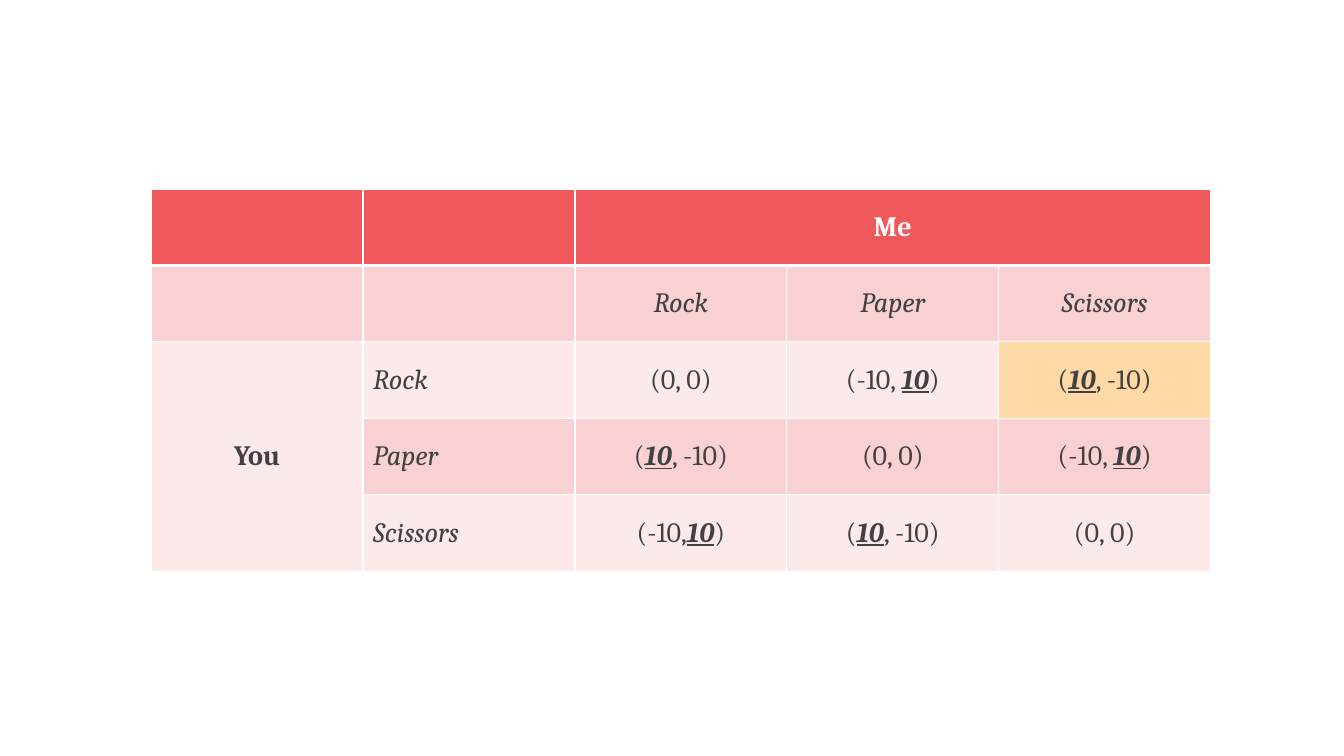
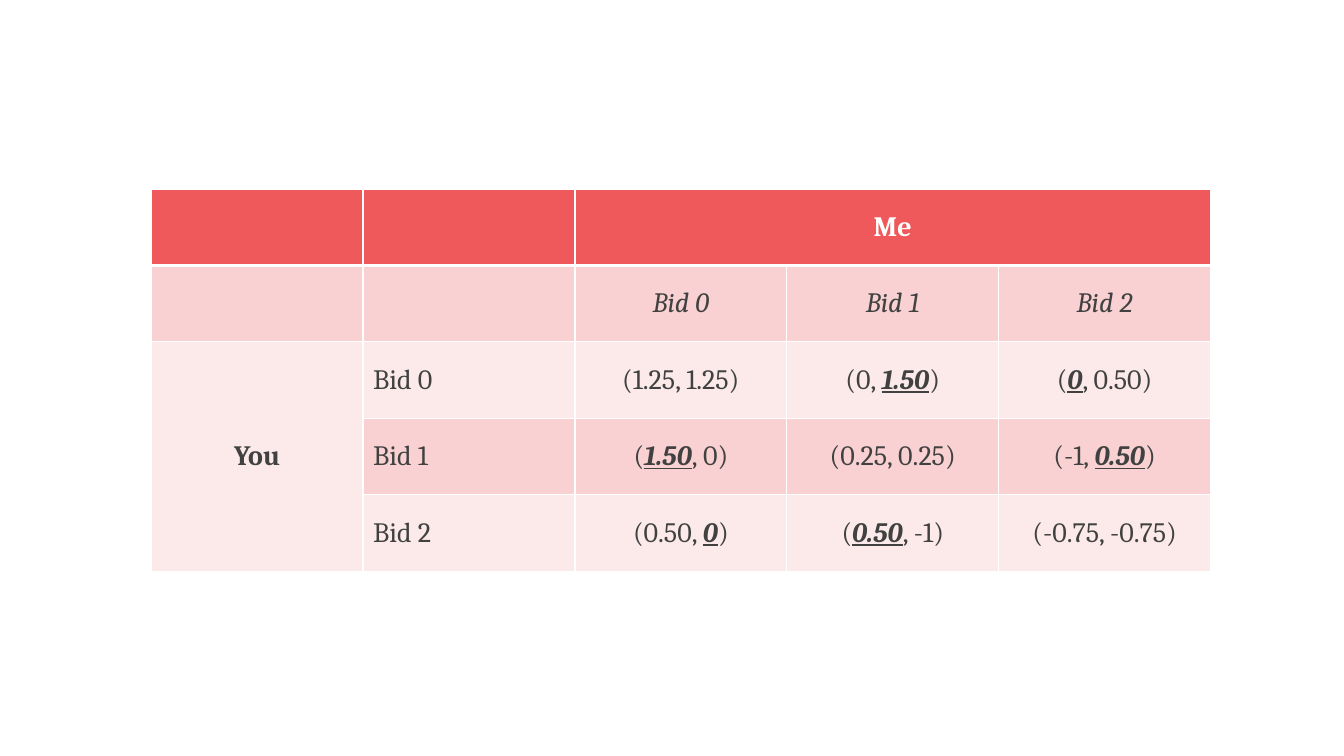
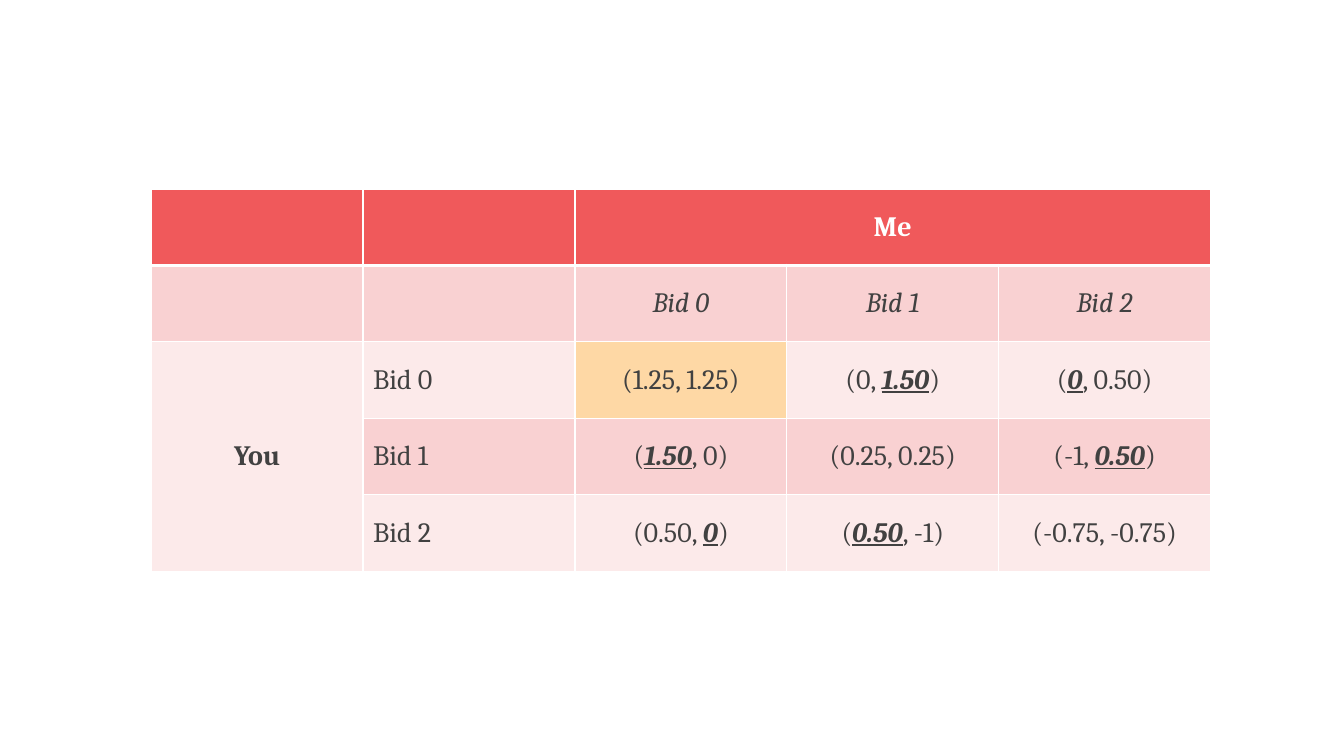
from pptx import Presentation
from pptx.dml.color import RGBColor
from pptx.enum.text import MSO_ANCHOR, PP_ALIGN
from pptx.oxml.ns import qn
from pptx.util import Emu, Pt
from lxml.etree import SubElement

EMU_PER_PX = 9525
SLIDE_SIZE = (1280, 720)
LEFT, TOP, WIDTH, HEIGHT = 144, 180, 1009, 364
GRID = 5
FONT, FONT_SIZE = "Cambria", 20
WHITE, INK = "FFFFFF", "414141"
HEADER, DARK_BAND, LIGHT_BAND, HIGHLIGHT = "F0595B", "F9D1D2", "FCEAEA", "FED8A5"

BIDS = ["Bid 0", "Bid 1", "Bid 2"]
BID_PAYOFFS = [
    ["(1.25, 1.25)", "(0, *1.50*)", "(*0*, 0.50)"],
    ["(*1.50*, 0)", "(0.25, 0.25)", "(-1, *0.50*)"],
    ["(0.50, *0*)", "(*0.50*, -1)", "(-0.75, -0.75)"],
]
GAMES = [
    {
        "moves": ["Rock", "Paper", "Scissors"],
        "payoffs": [
            ["(0, 0)", "(-10, *10*)", "(*10*, -10)"],
            ["(*10*, -10)", "(0, 0)", "(-10, *10*)"],
            ["(-10,*10*)", "(*10*, -10)", "(0, 0)"],
        ],
        "italic_rows": True,
        "highlight": (0, 2),
    },
    {"moves": BIDS, "payoffs": BID_PAYOFFS, "italic_rows": False, "highlight": None},
    {"moves": BIDS, "payoffs": BID_PAYOFFS, "italic_rows": False, "highlight": (0, 0)},
]


def px(length):
    return Emu(length * EMU_PER_PX)


def rgb(value):
    return RGBColor.from_string(value)


def write(cell, text, color=INK, bold=False, italic=False, align=PP_ALIGN.CENTER):
    cell.vertical_anchor = MSO_ANCHOR.MIDDLE
    paragraph = cell.text_frame.paragraphs[0]
    paragraph.alignment = align
    for index, part in enumerate(text.split("*")):
        best_reply = index % 2 == 1
        run = paragraph.add_run()
        run.text = part
        font = run.font
        font.name, font.size = FONT, Pt(FONT_SIZE)
        font.color.rgb = rgb(color)
        font.bold = bold or best_reply
        font.italic = italic or best_reply
        font.underline = best_reply


def paint(cell, fill, top=1, bottom=1):
    properties = cell._tc.get_or_add_tcPr()
    for side, points in (("L", 1), ("R", 1), ("T", top), ("B", bottom)):
        line = SubElement(properties, qn(f"a:ln{side}"), w=str(Pt(points)))
        solid = SubElement(line, qn("a:solidFill"))
        SubElement(solid, qn("a:srgbClr"), val=WHITE)
    cell.fill.solid()
    cell.fill.fore_color.rgb = rgb(fill)


def add_game(slide, moves, payoffs, italic_rows, highlight):
    table = slide.shapes.add_table(
        GRID, GRID, px(LEFT), px(TOP), px(WIDTH), px(HEIGHT)
    ).table

    for row in range(GRID):
        band = HEADER if row == 0 else DARK_BAND if row % 2 else LIGHT_BAND
        for column in range(GRID):
            chosen = highlight == (row - 2, column - 2)
            paint(
                table.cell(row, column),
                HIGHLIGHT if chosen else band,
                top=3 if row == 1 else 1,
                bottom=3 if row == 0 else 1,
            )

    table.cell(0, 2).merge(table.cell(0, 4))
    table.cell(2, 0).merge(table.cell(4, 0))
    write(table.cell(0, 2), "Me", color=WHITE, bold=True)
    write(table.cell(2, 0), "You", bold=True)

    for index, (move, outcomes) in enumerate(zip(moves, payoffs), start=2):
        write(table.cell(1, index), move, italic=True)
        write(table.cell(index, 1), move, italic=italic_rows, align=PP_ALIGN.LEFT)
        for column, outcome in enumerate(outcomes, start=2):
            write(table.cell(index, column), outcome)


def main():
    deck = Presentation()
    deck.slide_width, deck.slide_height = map(px, SLIDE_SIZE)
    blank = deck.slide_layouts[6]
    for game in GAMES:
        add_game(deck.slides.add_slide(blank), **game)
    deck.save("out.pptx")


if __name__ == "__main__":
    main()
